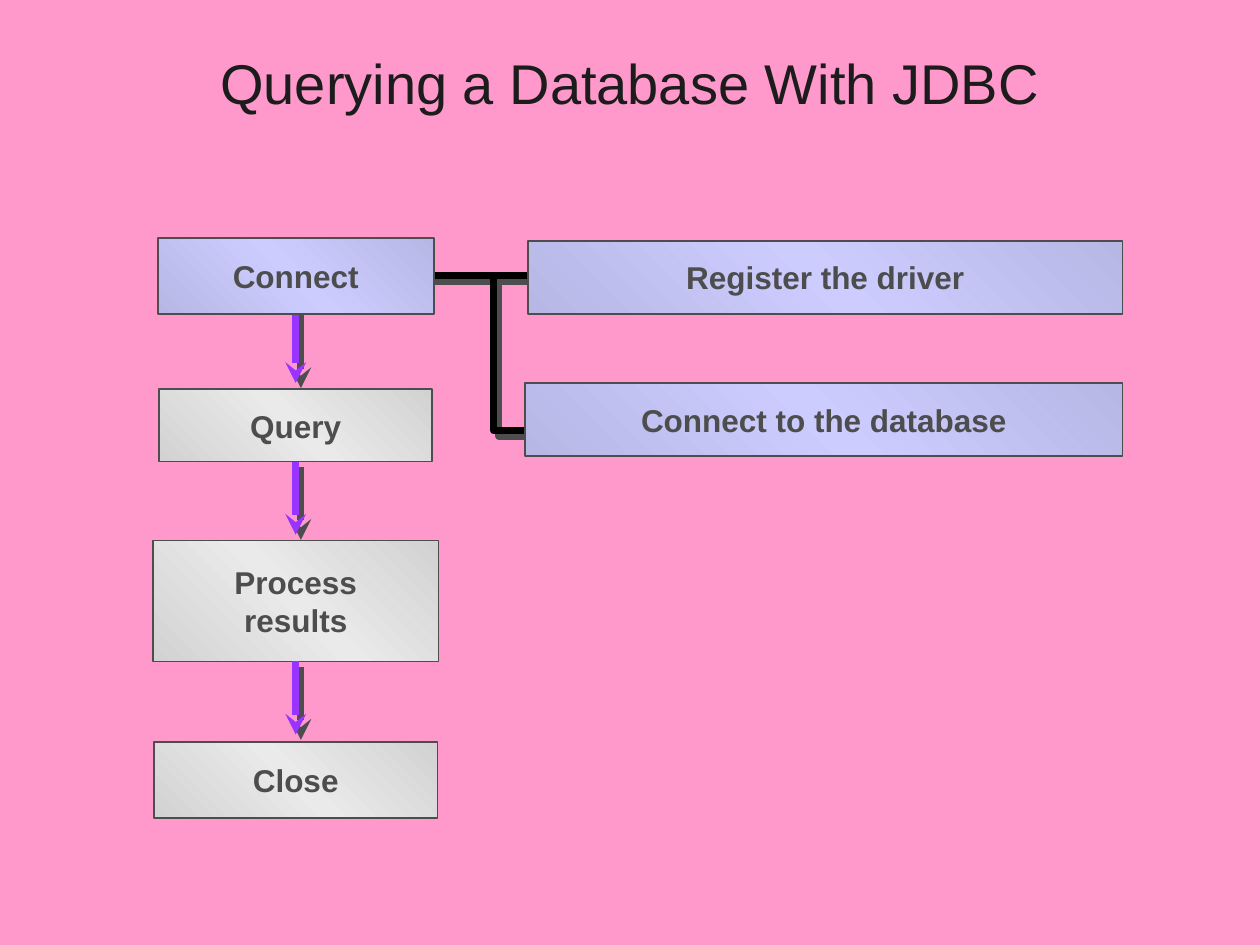
"""Build the slide that outlines the steps of a JDBC query."""
from dataclasses import dataclass
from typing import Any, Optional

from lxml.etree import SubElement
from pptx import Presentation
from pptx.dml.color import RGBColor as RGB
from pptx.enum.shapes import MSO_CONNECTOR as CONN, MSO_SHAPE as SHAPE
from pptx.enum.text import MSO_ANCHOR as ANCHOR, PP_ALIGN as ALIGN
from pptx.oxml.ns import qn
from pptx.util import Pt


@dataclass(frozen=True)
class Theme:
    font: str = "Arial"
    page: str = "FF99CC"
    title: str = "1C1C1C"
    ink: str = "4D4D4D"
    arrow: str = "9933FF"
    rail: str = "000000"
    grey: tuple = ("D2D2D2", "EAEAEA", "D2D2D2")
    lilac: tuple = ("B7B7E5", "CCCCFF", "B7B7E5")
    title_size: float = 32
    box_size: float = 18
    box_line: float = 1
    link_line: float = 4


@dataclass(frozen=True)
class Box:
    text: str
    left: float
    top: float
    width: float
    height: float
    shades: tuple


@dataclass(frozen=True)
class Link:
    x1: float
    y1: float
    x2: float
    y2: float
    color: str
    arrow: bool = False
    origin: Optional[str] = None


THEME = Theme()
SPINE = 169
RIGHT = 641.5


def step(text: str, top: float, width: float, height: float, shades: tuple = THEME.grey) -> Box:
    return Box(text, SPINE - width / 2, top, width, height, shades)


def detail(text: str, top: float, width: float) -> Box:
    return Box(text, RIGHT - width, top, width, 41.8, THEME.lilac)


def down(top: float, origin: Optional[str] = None) -> Link:
    return Link(SPINE, top, SPINE, top + 41.8, THEME.arrow, True, origin)


BOXES = [
    step("Connect", 136.1, 157.7, 43.2, THEME.lilac),
    step("Query", 222.5, 156.2, 41.3),
    step("Process\vresults", 308.9, 163.4, 69.1),
    step("Close", 424.1, 162, 43.2),
    detail("Register the driver", 137.5, 339.8),
    detail("Connect to the database", 218.9, 341.3),
]
BACK_LINKS = [down(177.1), Link(237.6, 157.7, 306.7, 157.7, THEME.rail)]
FRONT_LINKS = [down(263.8, "Query"), down(378, "Process\vresults")]
BRANCH = [(282.2, 159.1), (282.2, 246.2), (324, 246.2)]


def put_text(tf: Any, text: str, *, size: float, color: str, bold: bool = False,
             wrap: bool = True) -> None:
    tf.word_wrap = wrap
    tf.vertical_anchor = ANCHOR.MIDDLE
    p = tf.paragraphs[0]
    p.text = text
    p.alignment = ALIGN.CENTER
    for r in p.runs:
        r.font.name = THEME.font
        r.font.size = Pt(size)
        r.font.bold = bold
        r.font.color.rgb = RGB.from_string(color)


def set_line(sp: Any, color: str, width: float) -> None:
    sp.line.color.rgb = RGB.from_string(color)
    sp.line.width = Pt(width)


def add_shadow(sp: Any) -> None:
    effects = SubElement(sp._element.spPr, qn("a:effectLst"))
    shadow = SubElement(effects, qn("a:outerShdw"), dist=str(Pt(4.2)),
                        dir=str(45 * 60000), algn="ctr", rotWithShape="0")
    SubElement(shadow, qn("a:srgbClr"), val=THEME.ink)


def shade(sp: Any, colors: tuple) -> None:
    sp.fill.gradient()
    grad = sp._element.spPr.find(qn("a:gradFill"))
    for child in list(grad):
        grad.remove(child)
    stops = SubElement(grad, qn("a:gsLst"))
    for i, color in enumerate(colors):
        stop = SubElement(stops, qn("a:gs"), pos=str(i * 50000))
        SubElement(stop, qn("a:srgbClr"), val=color)
    SubElement(grad, qn("a:lin"), ang=str(315 * 60000), scaled="1")


def draw_box(s: Any, box: Box) -> Any:
    sp = s.shapes.add_shape(SHAPE.RECTANGLE, Pt(box.left), Pt(box.top),
                            Pt(box.width), Pt(box.height))
    shade(sp, box.shades)
    set_line(sp, THEME.ink, THEME.box_line)
    sp.shadow.inherit = False
    put_text(sp.text_frame, box.text, size=THEME.box_size, color=THEME.ink,
             bold=True, wrap=False)
    return sp


def draw_link(s: Any, link: Link, boxes: dict) -> None:
    sp = s.shapes.add_connector(CONN.STRAIGHT, Pt(link.x1), Pt(link.y1),
                                Pt(link.x2), Pt(link.y2))
    set_line(sp, link.color, THEME.link_line)
    if link.arrow:
        SubElement(sp.line._get_or_add_ln(), qn("a:tailEnd"), type="stealth")
    if link.origin:
        sp.begin_connect(boxes[link.origin], 2)
    add_shadow(sp)


def draw_branch(s: Any, points: list) -> None:
    start, *rest = [(Pt(x), Pt(y)) for x, y in points]
    builder = s.shapes.build_freeform(*start)
    builder.add_line_segments(rest, close=False)
    sp = builder.convert_to_shape()
    sp.fill.background()
    set_line(sp, THEME.rail, THEME.link_line)
    SubElement(sp.line._get_or_add_ln(), qn("a:round"))
    add_shadow(sp)


def main() -> None:
    prs = Presentation()
    prs.slide_width, prs.slide_height = Pt(720), Pt(540)
    s = prs.slides.add_slide(prs.slide_layouts[6])
    s.background.fill.solid()
    s.background.fill.fore_color.rgb = RGB.from_string(THEME.page)

    for link in BACK_LINKS:
        draw_link(s, link, {})
    draw_branch(s, BRANCH)
    boxes = {box.text: draw_box(s, box) for box in BOXES}
    for link in FRONT_LINKS:
        draw_link(s, link, boxes)

    title = s.shapes.add_textbox(Pt(36), Pt(21.6), Pt(648), Pt(50.4))
    put_text(title.text_frame, "Querying a Database With JDBC",
             size=THEME.title_size, color=THEME.title)
    prs.save("out.pptx")


if __name__ == "__main__":
    main()
